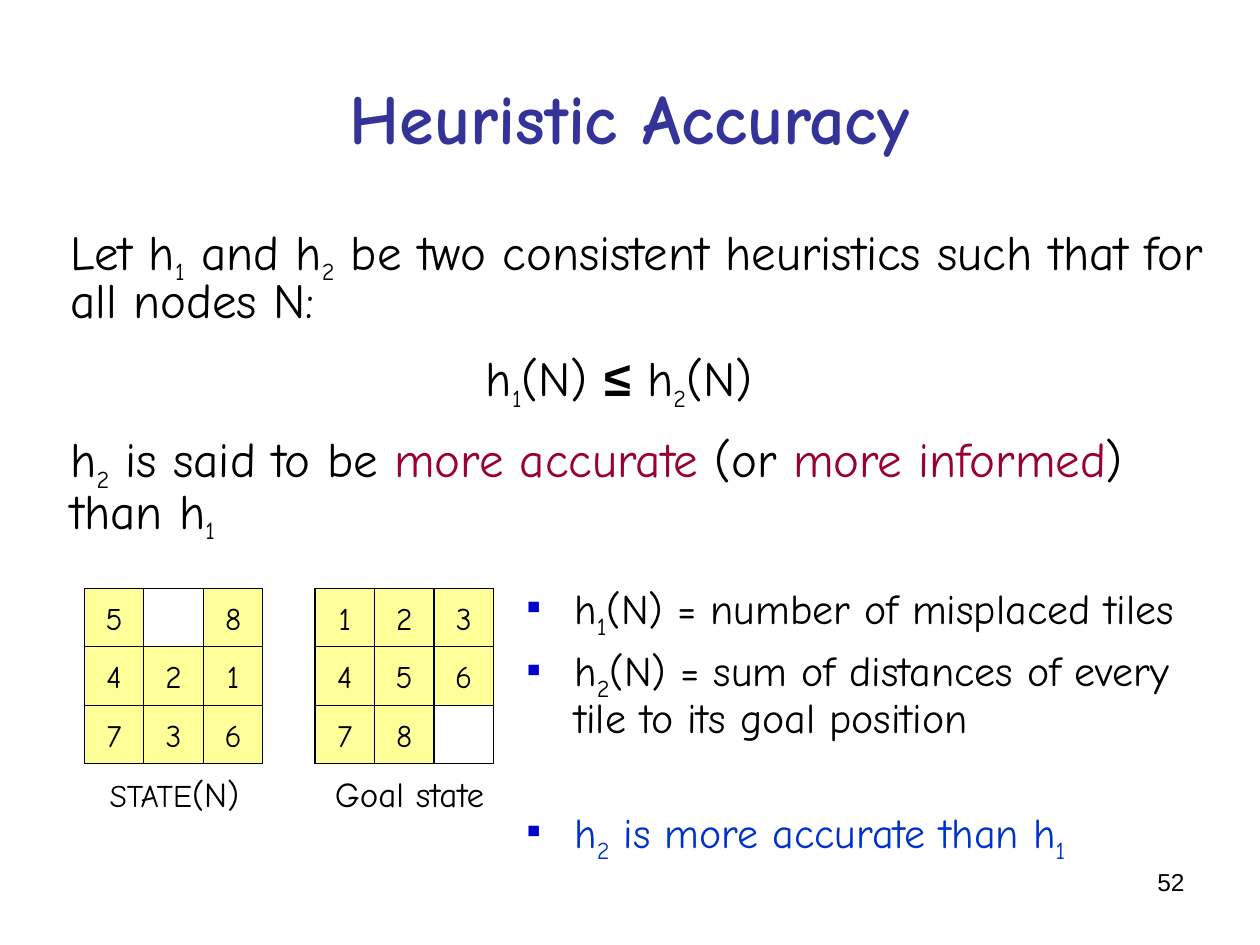
"""Build the slide that compares the accuracy of two heuristics on the 8-puzzle."""
from lxml.etree import SubElement
from pptx import Presentation
from pptx.dml.color import RGBColor
from pptx.enum.shapes import MSO_SHAPE
from pptx.enum.text import MSO_ANCHOR, PP_ALIGN
from pptx.oxml.ns import qn
from pptx.util import Cm, Pt

COLORS = {
    "title": "333399",
    "text": "000000",
    "accent": "990033",
    "bullet": "0000CC",
    "conclusion": "0033CC",
    "tile": "FFFF99",
}
SUBSCRIPT = {"size": 24, "baseline": -25}
ACCENT = {"color": "accent"}
SYMBOL = {"font": "Arial", "bold": True}
SMALL = {"size": 18}
ONE, TWO = ("1", SUBSCRIPT), ("2", SUBSCRIPT)


def add_text(frame, *pieces, align=PP_ALIGN.LEFT, line_spacing=1.0, space_before=0,
             indent=0, bullet=None, **run_format):
    """Fill the next paragraph; a piece is a string or a (string, overrides) pair."""
    paragraph = frame.paragraphs[0]
    if paragraph.runs:
        paragraph = frame.add_paragraph()
    paragraph.alignment = align
    paragraph.line_spacing = line_spacing
    paragraph.space_before = Pt(space_before)
    properties = paragraph._p.get_or_add_pPr()
    properties.set("marL", str(Cm(indent)))
    properties.set("indent", str(-Cm(indent) if bullet else 0))
    if bullet:
        bullet_color = SubElement(properties, qn("a:buClr"))
        SubElement(bullet_color, qn("a:srgbClr"), val=COLORS["bullet"])
        SubElement(properties, qn("a:buFont"), typeface="Arial")
        SubElement(properties, qn("a:buChar"), char=bullet)
    for piece in pieces:
        text, overrides = (piece, {}) if isinstance(piece, str) else piece
        style = {"font": "Comic Neue", "color": "text", "bold": False} | run_format | overrides
        run = paragraph.add_run()
        run.text = text
        run.font.name = style["font"]
        run.font.size = Pt(style["size"])
        run.font.bold = style["bold"]
        run.font.color.rgb = RGBColor.from_string(COLORS[style["color"]])
        if "baseline" in style:
            run.font._element.set("baseline", str(style["baseline"] * 1000))


def add_box(shapes, left, top, width, height, wrap=True):
    """Add a text box, measured in centimetres, and return its text frame."""
    frame = shapes.add_textbox(Cm(left), Cm(top), Cm(width), Cm(height)).text_frame
    frame.word_wrap = wrap
    return frame


presentation = Presentation()
presentation.slide_width, presentation.slide_height = Cm(25.4), Cm(19.05)
slide = presentation.slides.add_slide(presentation.slide_layouts[6])

number_frame = add_box(slide.shapes, 18.21, 17.35, 5.92, 1.32)
add_text(number_frame, "52", size=14, font="Arial", align=PP_ALIGN.RIGHT)

title_frame = add_box(slide.shapes, 1.27, 0.76, 22.86, 3.18)
title_frame.vertical_anchor = MSO_ANCHOR.MIDDLE
add_text(title_frame, "Heuristic Accuracy", size=40, bold=True, color="title",
         align=PP_ALIGN.CENTER)

body_frame = add_box(slide.shapes, 0.2, 4.49, 24.56, 6.53)
body_format = {"size": 28, "line_spacing": 0.8}
add_text(body_frame, "Let h", ONE, " and h", TWO,
         " be two consistent heuristics such that for all nodes N:",
         indent=0.97, **body_format)
add_text(body_frame, "h", ONE, "(N) ", ("≤", SYMBOL), " h", TWO, "(N)",
         align=PP_ALIGN.CENTER, space_before=16, **body_format)
add_text(body_frame, "h", TWO, " is said to be ", ("more accurate ", ACCENT), "(or ",
         ("more informed", ACCENT), ") than h", ONE,
         indent=0.97, space_before=17, **body_format)

bullet_frame = add_box(slide.shapes, 10.36, 11.64, 14.4, 4.67)
bullet_format = {"size": 24, "line_spacing": 0.9, "indent": 0.97, "bullet": "▪"}
add_text(bullet_frame, "h", ONE, "(N) = number of misplaced tiles", **bullet_format)
add_text(bullet_frame, "h", TWO, "(N) = sum of distances of every tile to its goal position",
         space_before=6, **bullet_format)
add_text(bullet_frame, "h", TWO, " is more accurate than h", ONE,
         space_before=37, color="conclusion", **bullet_format)

board_top, tile_width, tile_height = 11.86, 1.2, 1.18
boards = [
    (1.7, ["5 8", "421", "736"], [("STATE", SMALL), "(N)"], 1.96, 3.23),
    (6.35, ["123", "456", "78 "], ["Goal state"], 6.5, 3.56),
]
for board_left, rows, label, label_left, label_width in boards:
    board = slide.shapes.add_group_shape()
    cells = [(board_left, board_top, 3, "")]
    for row, digits in enumerate(rows):
        for column, digit in enumerate(digits):
            if digit != " ":
                cells.append((board_left + column * tile_width,
                              board_top + row * tile_height, 1, digit))
    for left, top, span, digit in cells:
        shape = board.shapes.add_shape(MSO_SHAPE.RECTANGLE, Cm(left), Cm(top),
                                       Cm(span * tile_width), Cm(span * tile_height))
        shape.shadow.inherit = False
        shape.line.color.rgb = RGBColor.from_string(COLORS["text"])
        shape.line.width = Pt(0.75)
        if digit:
            shape.fill.solid()
            shape.fill.fore_color.rgb = RGBColor.from_string(COLORS["tile"])
            shape.text_frame.word_wrap = False
            shape.text_frame.vertical_anchor = MSO_ANCHOR.MIDDLE
            add_text(shape.text_frame, digit, size=18, align=PP_ALIGN.CENTER)
        else:
            shape.fill.background()
    label_frame = add_box(board.shapes, label_left, 15.44, label_width, 1.12, wrap=False)
    add_text(label_frame, *label, size=20)

presentation.save("out.pptx")
